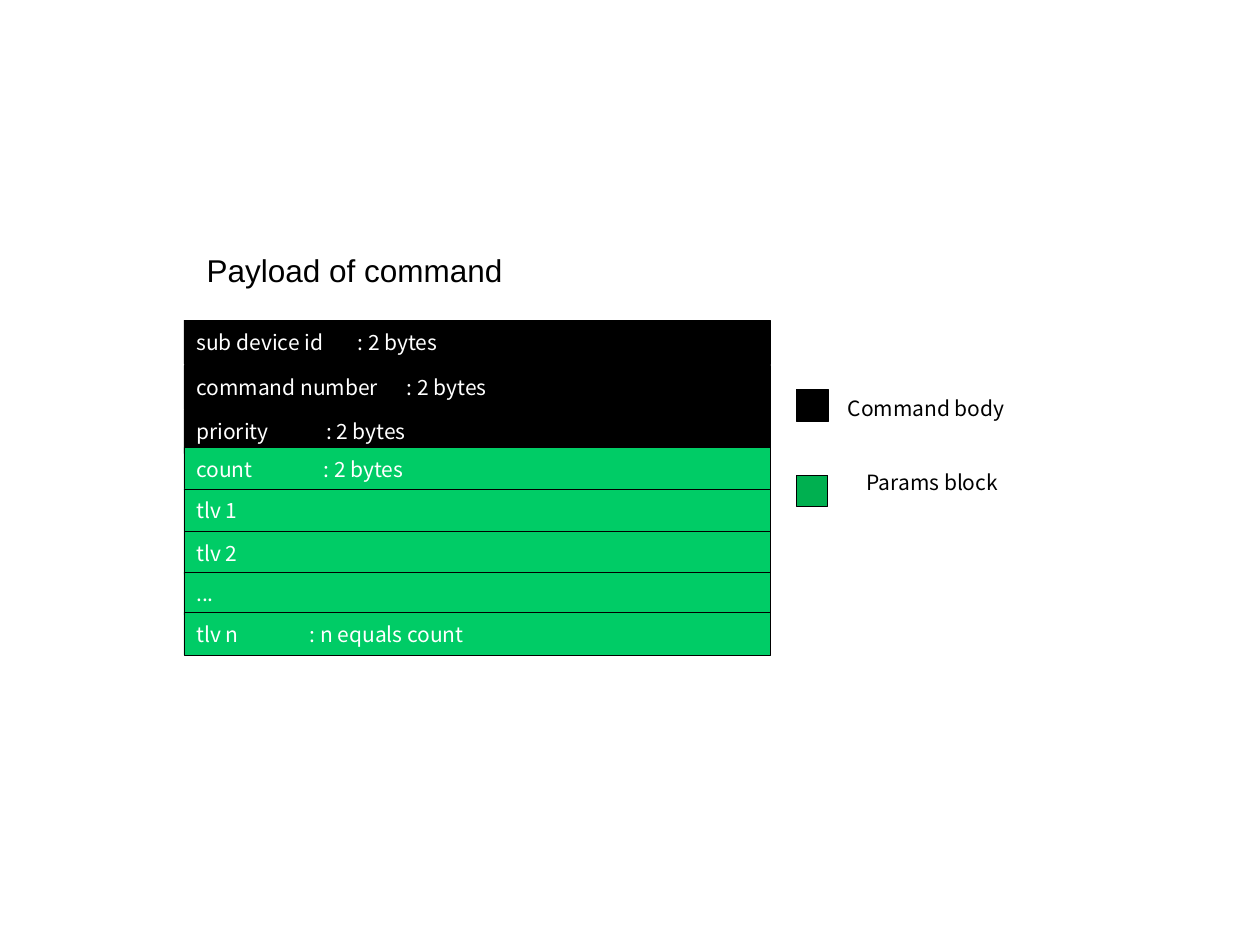
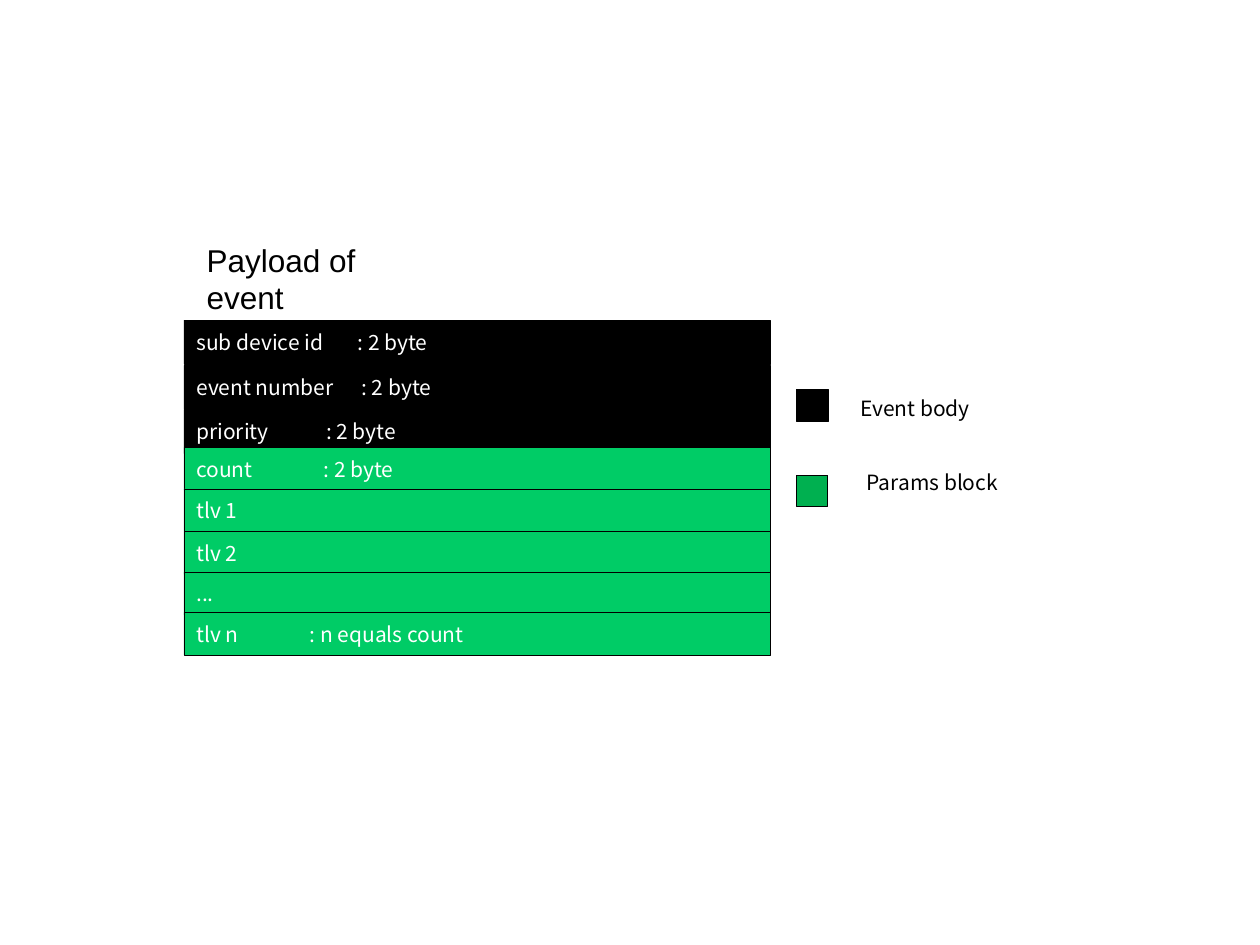
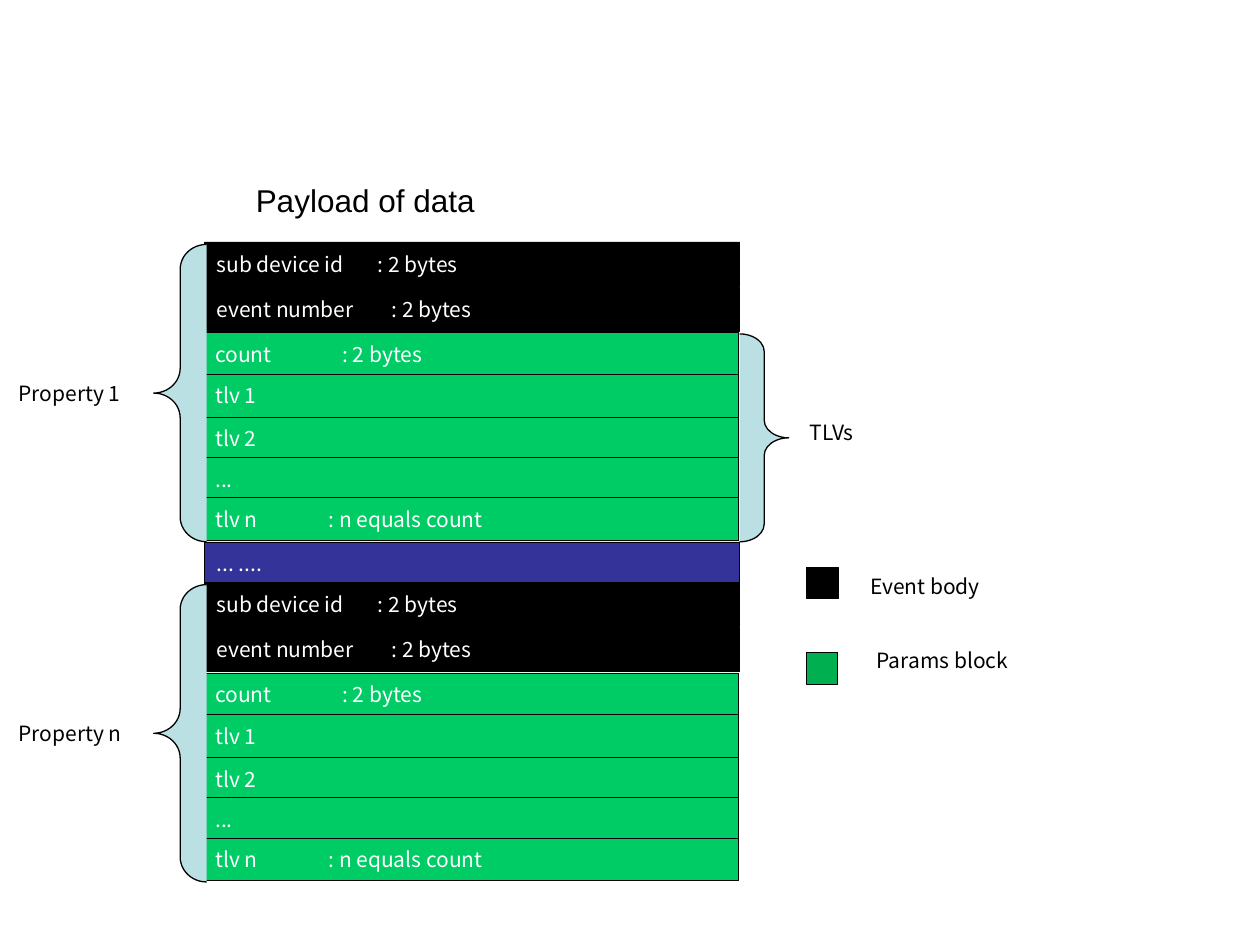
from pptx import Presentation
from pptx.dml.color import RGBColor
from pptx.enum.shapes import MSO_SHAPE as Preset
from pptx.enum.text import MSO_ANCHOR as Anchor, MSO_AUTO_SIZE as AutoSize, PP_ALIGN as Align
from pptx.oxml.ns import qn
from pptx.util import Inches, Pt
from lxml.etree import SubElement

BLACK = RGBColor(0x00, 0x00, 0x00)
WHITE = RGBColor(0xFF, 0xFF, 0xFF)
PARAMS_GREEN = RGBColor(0x00, 0xCC, 0x66)
LEGEND_GREEN = RGBColor(0x00, 0xB0, 0x50)
GAP_BLUE = RGBColor(0x33, 0x33, 0x99)
BRACE_BLUE = RGBColor(0xBB, 0xE0, 0xE3)

TITLE_FONT = "Arial"
BODY_FONT = "Noto Sans CJK SC"
TITLE_ONLY = 5

HEADER_OFFSETS = (0, 0.36, 0.71)
HEADER_HEIGHT = 0.35
PARAMS_OFFSETS = (0, 0.33, 0.67, 0.99, 1.31)
ROW_HEIGHT = 0.34


def set_text(shape, text, size=12, font=BODY_FONT, color=BLACK, anchor=Anchor.TOP,
             wrap=False, tab=None):
    frame = shape.text_frame
    frame.auto_size = AutoSize.NONE
    frame.word_wrap = wrap
    frame.vertical_anchor = anchor
    paragraph = frame.paragraphs[0]
    paragraph.alignment = Align.LEFT
    if tab:
        tab_list = SubElement(paragraph._p.get_or_add_pPr(), qn("a:tabLst"))
        SubElement(tab_list, qn("a:tab"), pos=str(Inches(tab)), algn="l")
    run = paragraph.add_run()
    run.text = text
    run.font.size = Pt(size)
    run.font.name = font
    run.font.color.rgb = color


def add_figure(slide, preset, left, top, width, height, fill, line_width=0.25):
    shape = slide.shapes.add_shape(
        preset, Inches(left), Inches(top), Inches(width), Inches(height))
    shape.shadow.inherit = False
    shape.fill.solid()
    shape.fill.fore_color.rgb = fill
    shape.line.color.rgb = BLACK
    shape.line.width = Pt(line_width)
    return shape


def add_label(slide, text, left, top, width):
    label = slide.shapes.add_textbox(
        Inches(left), Inches(top), Inches(width), Inches(0.3))
    set_text(label, text)


def add_row(slide, field, left, top, width, height, fill):
    """Draw one field, given as (name, size, position of the size column)."""
    name, size, tab = field
    row = add_figure(slide, Preset.RECTANGLE, left, top, width, height, fill)
    set_text(row, f"{name}\t: {size}" if size else name, color=WHITE,
             anchor=Anchor.MIDDLE, wrap=True, tab=tab)


def add_header(slide, fields, left, top, width):
    for field, offset in zip(fields, HEADER_OFFSETS):
        add_row(slide, field, left, top + offset, width, HEADER_HEIGHT, BLACK)


def add_params(slide, unit, left, top, width):
    fields = (
        ("count", f"2 {unit}", 1.01),
        ("tlv 1", None, None),
        ("tlv 2", None, None),
        ("...", None, None),
        ("tlv n", "n equals count", 0.9),
    )
    for field, offset in zip(fields, PARAMS_OFFSETS):
        add_row(slide, field, left, top + offset, width, ROW_HEIGHT, PARAMS_GREEN)


def add_legend(slide, left, top, body_label, label_offset, label_width):
    add_figure(slide, Preset.RECTANGLE, left, top, 0.25, 0.25, BLACK)
    add_label(slide, body_label, left + label_offset, top, label_width)
    add_figure(slide, Preset.RECTANGLE, left, top + 0.68, 0.25, 0.25, LEGEND_GREEN, 0.5)
    add_label(slide, "Params block", left + 0.46, top + 0.59, 1.25)


def add_brace(slide, preset, left, top, width, height, curve):
    brace = add_figure(slide, preset, left, top, width, height, BRACE_BLUE, 0.75)
    brace.adjustments[0] = curve
    brace.adjustments[1] = 0.5


def add_titled_slide(presentation, title, left, top, width):
    slide = presentation.slides.add_slide(presentation.slide_layouts[TITLE_ONLY])
    shape = slide.shapes.title
    shape.left, shape.top = Inches(left), Inches(top)
    shape.width, shape.height = Inches(width), Inches(0.4)
    set_text(shape, title, size=18, font=TITLE_FONT)
    return slide


def add_message_slide(presentation, kind, unit, number_tab, title_top, title_width,
                      label_offset, label_width):
    """Add the layout shared by the command and event payloads."""
    slide = add_titled_slide(
        presentation, f"Payload of {kind}", 1.54, title_top, title_width)
    fields = (
        ("sub device id", f"2 {unit}", 1.28),
        (f"{kind} number", f"2 {unit}", number_tab),
        ("priority", f"2 {unit}", 1.03),
    )
    add_header(slide, fields, 1.46, 2.54, 4.65)
    add_params(slide, unit, 1.46, 3.55, 4.65)
    add_legend(slide, 6.32, 3.09, f"{kind.capitalize()} body", label_offset, label_width)


def add_property(slide, name, left, top, width):
    fields = (("sub device id", "2 bytes", 1.28), ("event number", "2 bytes", 1.39))
    add_header(slide, fields, left, top, width)
    add_params(slide, "bytes", left - 0.01, top + 0.72, width)
    add_brace(slide, Preset.LEFT_BRACE, left - 0.4, top + 0.02, 0.42, 2.36, 0.47)
    add_label(slide, name, left - 1.57, top + 1.05, 1.02)


def add_data_slide(presentation):
    slide = add_titled_slide(presentation, "Payload of data", 1.93, 1.39, 1.94)
    left, width = 1.62, 4.25
    add_property(slide, "Property 1", left, 1.92, width)
    add_row(slide, ("... ....", None, None), left, 4.3, width, ROW_HEIGHT, GAP_BLUE)
    add_property(slide, "Property n", left, 4.62, width)
    add_brace(slide, Preset.RIGHT_BRACE, left + width, 2.65, 0.39, 1.65, 0.36)
    add_label(slide, "TLVs", 6.33, 3.28, 0.56)
    add_legend(slide, 6.4, 4.5, "Event body", 0.41, 1.07)


def main():
    presentation = Presentation()
    presentation.slide_width = Inches(10)
    presentation.slide_height = Inches(7.5)
    add_message_slide(presentation, "command", "bytes", number_tab=1.67, title_top=1.94,
                      title_width=2.55, label_offset=0.31, label_width=1.44)
    add_message_slide(presentation, "event", "byte", number_tab=1.31, title_top=1.86,
                      title_width=2.06, label_offset=0.41, label_width=1.07)
    add_data_slide(presentation)
    presentation.save("out.pptx")


if __name__ == "__main__":
    main()
